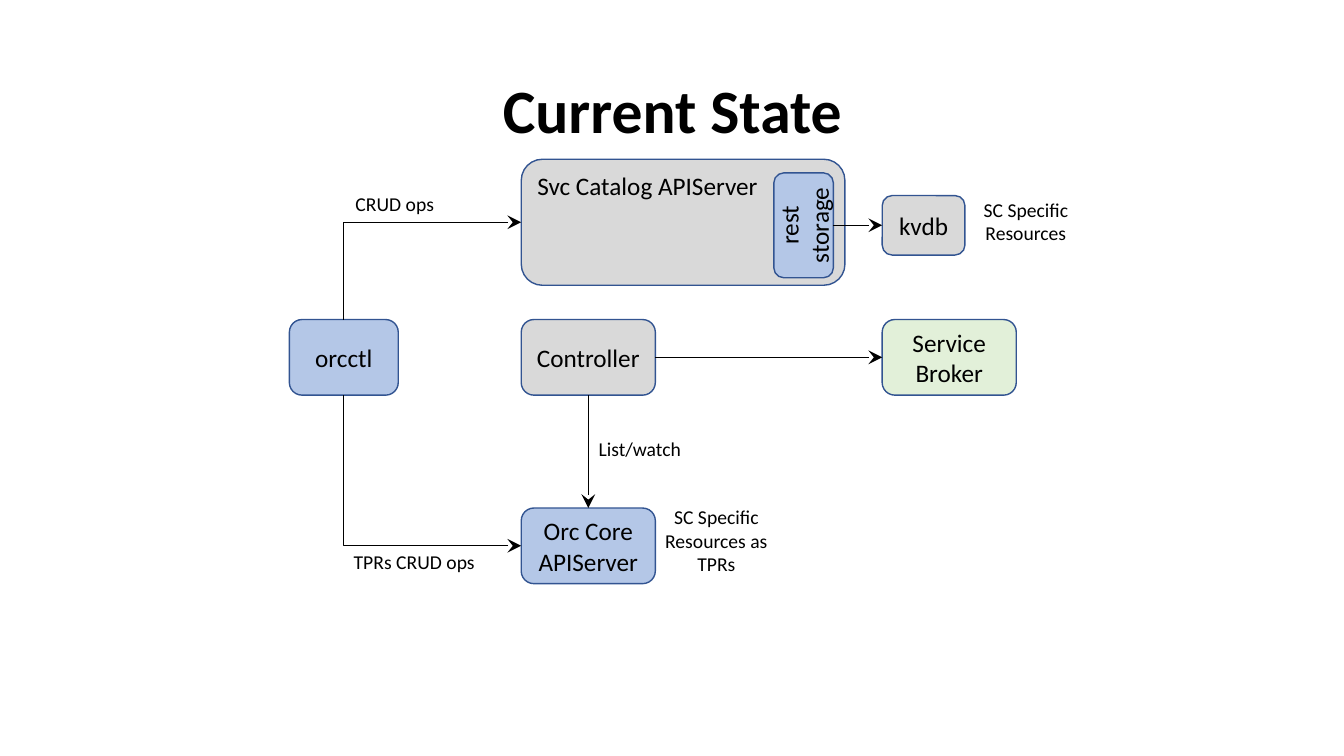
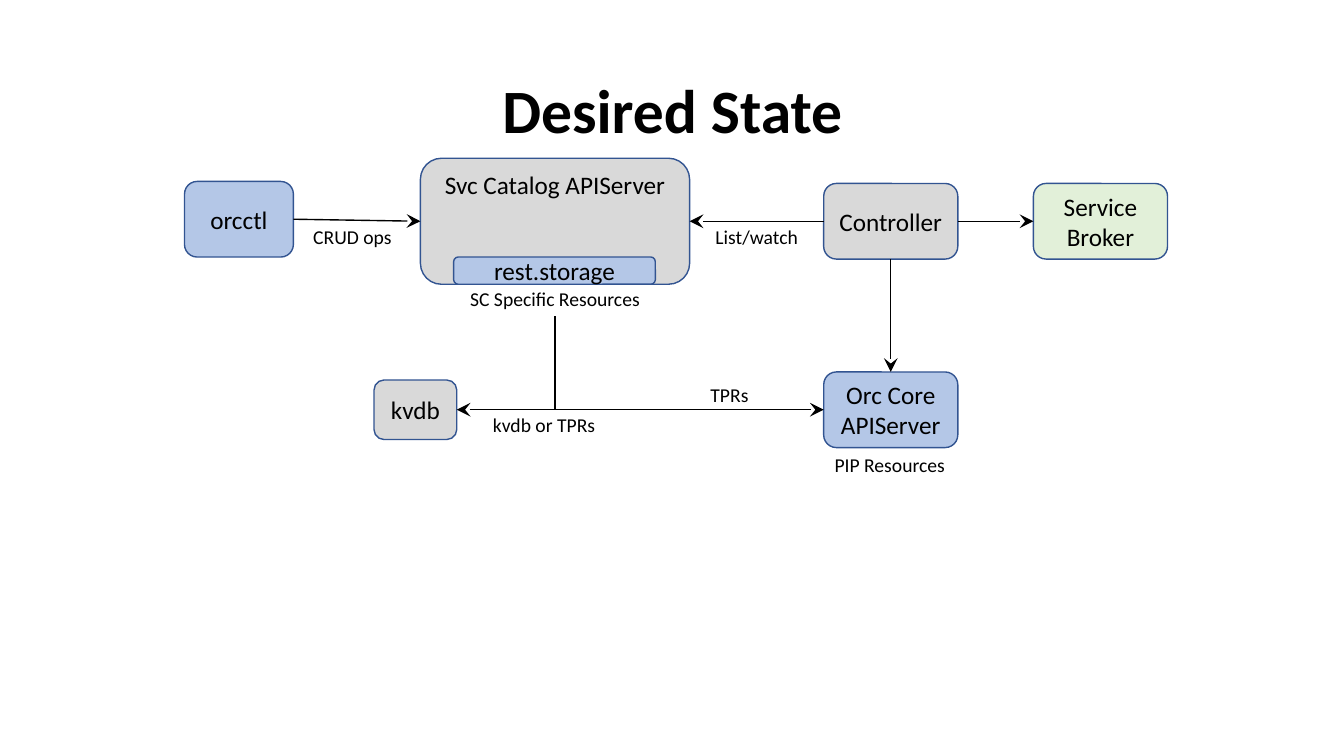
"""Two architecture slides: the current and the desired state."""
from dataclasses import dataclass

import pptx
import pptx.dml.color
import pptx.enum.shapes
import pptx.enum.text
import pptx.oxml
import pptx.oxml.ns
import pptx.util

Inches = pptx.util.Inches
Align = pptx.enum.text.PP_ALIGN
Anchor = pptx.enum.text.MSO_ANCHOR
Connector = pptx.enum.shapes.MSO_CONNECTOR

# Connection sites of a rectangle
TOP, LEFT, BOTTOM, RIGHT = range(4)

# Sizes of the boxes that appear on both slides
CLIENT_SIZE = (1.08, 0.75)
SERVICE_SIZE = (1.33, 0.75)
STORE_SIZE = (0.82, 0.59)


@dataclass(frozen=True)
class Theme:
    """Colours, font and sizes shared by the slides."""
    font: str = "Calibri"
    ink: str = "000000"
    outline: str = "325491"
    blue: str = "B4C7E7"
    grey: str = "D9D9D9"
    green: str = "E2F0D9"
    title_size: int = 44
    box_size: int = 18
    label_size: int = 14
    line_width: int = 1


THEME = Theme()


def rgb(value):
    """Turn a hex string into a colour."""
    return pptx.dml.color.RGBColor.from_string(value)


def write(box, text, size, align=Align.CENTER, anchor=Anchor.TOP, bold=False):
    """Put wrapped text into a box, one paragraph a line."""
    frame = box.text_frame
    frame.word_wrap = True
    frame.vertical_anchor = anchor
    frame.text = text
    for para in frame.paragraphs:
        para.alignment = align
        para.font.name = THEME.font
        para.font.size = pptx.util.Pt(size)
        para.font.bold = bold
        para.font.color.rgb = rgb(THEME.ink)


def add_title(page, text):
    """Add the slide title."""
    box = page.shapes.add_textbox(
        Inches(0.92), Inches(0.4), Inches(11.5), Inches(1.45))
    write(box, text, THEME.title_size, anchor=Anchor.MIDDLE, bold=True)
    box.text_frame.paragraphs[0].line_spacing = 0.9


def add_label(page, text, left, top, width=1.35, height=0.34,
              align=Align.CENTER):
    """Add a small caption."""
    box = page.shapes.add_textbox(
        Inches(left), Inches(top), Inches(width), Inches(height))
    write(box, text, THEME.label_size, align)
    return box


def add_node(page, text, left, top, size, fill, align=Align.CENTER,
             anchor=Anchor.MIDDLE):
    """Add an outlined rounded box."""
    width, height = size
    box = page.shapes.add_shape(
        pptx.enum.shapes.MSO_SHAPE.ROUNDED_RECTANGLE,
        Inches(left), Inches(top), Inches(width), Inches(height))
    box.shadow.inherit = False
    box.fill.solid()
    box.fill.fore_color.rgb = rgb(fill)
    box.line.color.rgb = rgb(THEME.outline)
    box.line.width = pptx.util.Pt(THEME.line_width)
    write(box, text, THEME.box_size, align, anchor)
    return box


def add_link(page, kind, begin, end, arrow_end):
    """Glue a connector between two (box, site) pairs."""
    link = page.shapes.add_connector(kind, 0, 0, 0, 0)
    link.begin_connect(*begin)
    link.end_connect(*end)
    link.line.color.rgb = rgb(THEME.ink)
    link.line.width = pptx.util.Pt(THEME.line_width)
    arrow = pptx.oxml.parse_xml(
        f'<a:{arrow_end} {pptx.oxml.ns.nsdecls("a")} type="stealth" '
        'w="lg" len="lg"/>')
    link.line._get_or_add_ln().append(arrow)
    link._element.spPr.append(pptx.oxml.parse_xml(
        f'<a:effectLst {pptx.oxml.ns.nsdecls("a")}/>'))
    return link


def add_arrow(page, source, source_site, target, target_site):
    """Add a straight arrow from source to target."""
    return add_link(page, Connector.STRAIGHT, (source, source_site),
                    (target, target_site), "tailEnd")


def add_corner_arrow(page, source, source_site, target, target_site):
    """Add an arrow that leaves vertically and arrives horizontally.

    The one-bend preset runs across first, so it starts at the target.
    """
    link = add_link(page, Connector.ELBOW, (target, target_site),
                    (source, source_site), "headEnd")
    link._element.spPr.prstGeom.set("prst", "bentConnector2")


def build_current_state(page):
    """Draw the current state."""
    add_title(page, "Current State")
    client = add_node(page, "orcctl", 2.87, 3.17, CLIENT_SIZE, THEME.blue)
    catalog = add_node(page, "Svc Catalog APIServer", 5.17, 1.58, (3.21, 1.25),
                       THEME.grey, Align.LEFT, Anchor.TOP)
    controller = add_node(page, "Controller", 5.17, 3.17, SERVICE_SIZE,
                          THEME.grey)
    broker = add_node(page, "Service Broker", 8.75, 3.17, SERVICE_SIZE,
                      THEME.green)
    core = add_node(page, "Orc Core APIServer", 5.17, 5.04, SERVICE_SIZE,
                    THEME.blue)
    storage = add_node(page, "rest\nstorage", 7.45, 1.94, (1.04, 0.59),
                       THEME.blue)
    storage.rotation = 270
    store = add_node(page, "kvdb", 8.75, 1.94, STORE_SIZE, THEME.grey)

    # The bottom of the turned box faces right
    storage_arrow = add_arrow(page, storage, BOTTOM, store, LEFT)
    storage_arrow.begin_x = Inches(8.26)
    storage_arrow.begin_y = storage_arrow.end_y
    add_arrow(page, controller, BOTTOM, core, TOP)
    add_arrow(page, controller, RIGHT, broker, LEFT)
    add_corner_arrow(page, client, TOP, catalog, LEFT)
    add_corner_arrow(page, client, BOTTOM, core, LEFT)

    add_label(page, "CRUD ops", 3.24, 1.86)
    add_label(page, "List/watch", 5.67, 4.29)
    add_label(page, "SC Specific Resources", 9.5, 1.91, height=0.57)
    add_label(page, "SC Specific Resources as TPRs", 6.43, 4.96, height=0.81)
    add_label(page, "TPRs CRUD ops", 3.41, 5.41, 1.76, align=Align.LEFT)


def build_desired_state(page):
    """Draw the desired state."""
    add_title(page, "Desired State")
    client = add_node(page, "orcctl", 1.83, 1.8, CLIENT_SIZE, THEME.blue)
    catalog = add_node(page, "Svc Catalog APIServer", 4.17, 1.57, (2.67, 1.25),
                       THEME.grey, anchor=Anchor.TOP)
    controller = add_node(page, "Controller", 8.17, 1.82, SERVICE_SIZE,
                          THEME.grey)
    broker = add_node(page, "Service Broker", 10.25, 1.82, SERVICE_SIZE,
                      THEME.green)
    add_node(page, "rest.storage", 4.5, 2.55, (2, 0.27), THEME.blue)
    core = add_node(page, "Orc Core APIServer", 8.17, 3.69, SERVICE_SIZE,
                    THEME.blue)
    store = add_node(page, "kvdb", 3.71, 3.77, STORE_SIZE, THEME.grey)
    resources = add_label(page, "SC Specific Resources", 4.17, 2.8, 2.67)

    add_arrow(page, client, RIGHT, catalog, LEFT)
    add_arrow(page, controller, LEFT, catalog, RIGHT)
    add_arrow(page, controller, BOTTOM, core, TOP)
    add_arrow(page, controller, RIGHT, broker, LEFT)
    add_corner_arrow(page, resources, BOTTOM, store, RIGHT)
    add_corner_arrow(page, resources, BOTTOM, core, LEFT)

    add_label(page, "CRUD ops", 2.82, 2.18)
    add_label(page, "List/watch", 6.83, 2.18)
    add_label(page, "PIP Resources", 8.15, 4.44)
    add_label(page, "TPRs", 6.56, 3.75)
    add_label(page, "kvdb or TPRs", 4.79, 4.05, 1.77, align=Align.LEFT)


def main():
    """Build and save the deck."""
    deck = pptx.Presentation()
    deck.slide_width = Inches(13.33)
    deck.slide_height = Inches(7.5)
    blank = deck.slide_layouts[6]
    for build in (build_current_state, build_desired_state):
        build(deck.slides.add_slide(blank))
    deck.save("out.pptx")


main()
